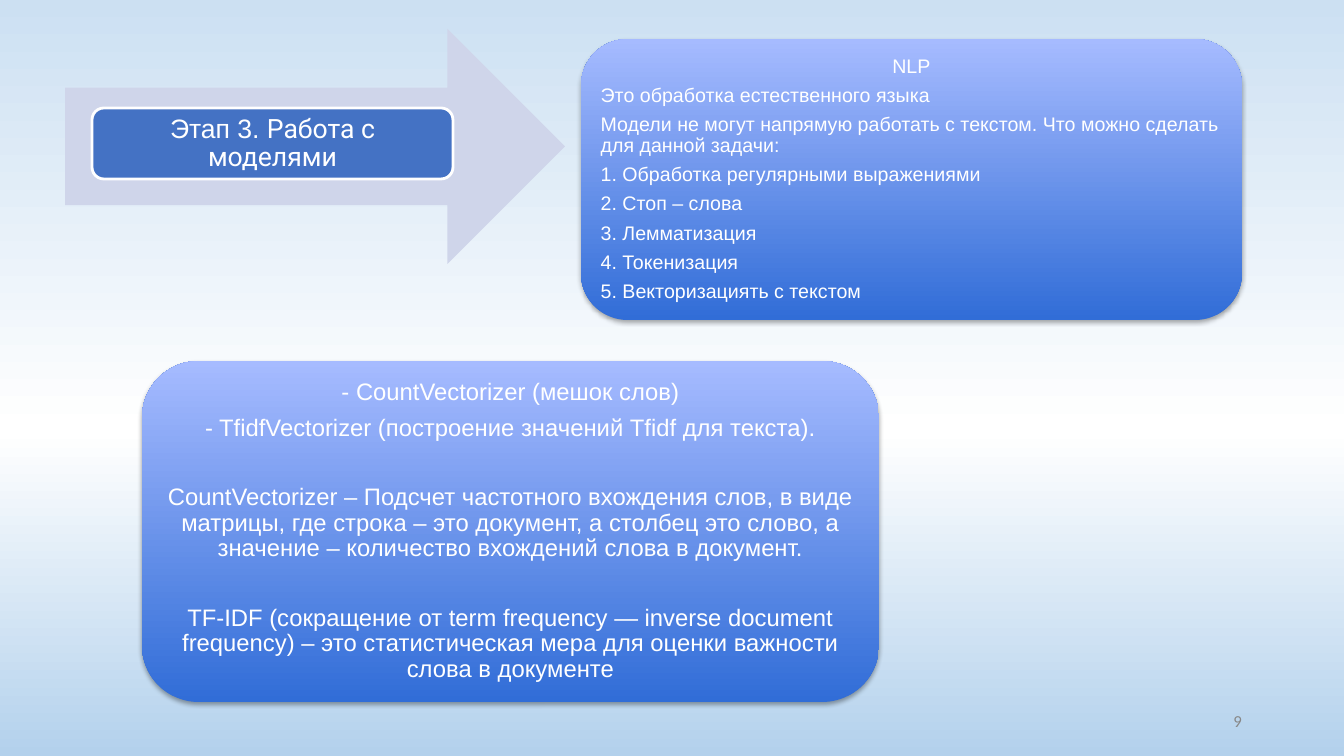
from copy import deepcopy
from dataclasses import dataclass

from lxml import etree
from pptx import Presentation, util as u
from pptx.dml.color import RGBColor
from pptx.enum import shapes, text
from pptx.oxml.ns import qn

SCALE = 12192000 / 1344  # EMU per px


@dataclass(frozen=True)
class Theme:
    sky: tuple = ((0, "CCE0F2"), (0.57, "FFFFFF"), (1, "B3D1EC"))
    card: tuple = ((0, "316DD7"), (1, "A6BBFF"))
    arrow: str = "CFD5EA"
    label: str = "4472C4"
    light: str = "FFFFFF"
    shadow: str = "000000"
    muted: str = "888888"
    body_font: str = "Arial"
    title_font: str = "Roboto"
    number_font: str = "Calibri"
    title_size: int = 19
    nlp_size: int = 14
    vector_size: int = 17
    number_size: int = 12


def px(value):
    return u.Emu(round(value * SCALE))


class SlideBuilder:
    def __init__(self, slide, theme):
        self.slide = slide
        self.theme = theme

    def gradient(self, fill, owner, stops, angle):
        fill.gradient()
        fill.gradient_angle = angle
        stop_list = owner.find(".//" + qn("a:gsLst"))
        for _ in stops[2:]:
            stop_list.append(deepcopy(stop_list[-1]))
        for stop, (position, color) in zip(fill.gradient_stops, stops):
            stop.position = position
            stop.color.rgb = RGBColor.from_string(color)

    def background(self):
        self.gradient(self.slide.background.fill, self.slide.element, self.theme.sky, 270)

    def shape(self, kind, box, fill=None, line=None):
        shape = self.slide.shapes.add_shape(kind, *map(px, box))
        shape.shadow.inherit = False
        if fill:
            shape.fill.solid()
            shape.fill.fore_color.rgb = RGBColor.from_string(fill)
        if line:
            shape.line.color.rgb = RGBColor.from_string(line)
            shape.line.width = u.Pt(2)
        else:
            shape.line.fill.background()
        return shape

    def frame(self, shape, side, top):
        frame = shape.text_frame
        frame.word_wrap = True
        frame.auto_size = text.MSO_AUTO_SIZE.NONE
        frame.vertical_anchor = text.MSO_ANCHOR.MIDDLE
        frame.margin_left = frame.margin_right = px(side)
        frame.margin_top = frame.margin_bottom = px(top)
        return frame

    def style(self, paragraph, size, color, font=None, align=text.PP_ALIGN.CENTER):
        paragraph.alignment = align
        paragraph.font.size = u.Pt(size)
        paragraph.font.color.rgb = RGBColor.from_string(color)
        if font:
            paragraph.font.name = font

    def title(self, box, parts):
        title = self.slide.shapes.title
        title.left, title.top, title.width, title.height = map(px, box)
        paragraph = self.frame(title, 8, 8).paragraphs[0]
        self.style(paragraph, self.theme.title_size, self.theme.light)
        paragraph.line_spacing = 0.9
        for wording, font in parts:
            run = paragraph.add_run()
            run.text = wording
            run.font.name = font
        # Bring the title in front of its label
        self.slide.shapes.element.append(title.element)

    def card(self, box, size, inset, lines):
        """Each line is (wording, alignment, starts a new section)."""
        card = self.shape(shapes.MSO_SHAPE.ROUNDED_RECTANGLE, box)
        self.gradient(card.fill, card.element, self.theme.card, 90)
        self.drop_shadow(card)
        frame = self.frame(card, inset, inset)
        for index, (wording, align, new_section) in enumerate(lines):
            paragraph = frame.add_paragraph() if index else frame.paragraphs[0]
            paragraph.text = wording
            self.style(paragraph, size, self.theme.light, self.theme.body_font, align)
            paragraph.line_spacing = 0.9
            paragraph.space_after = u.Pt(0.4 * size)
            if new_section:
                paragraph.space_before = u.Pt(1.43 * size)

    def drop_shadow(self, shape):
        effects = shape.element.find(".//" + qn("a:effectLst"))
        shadow = etree.SubElement(effects, qn("a:outerShdw"), blurRad="40000",
                                  dist="23000", dir="5400000", rotWithShape="0")
        color = etree.SubElement(shadow, qn("a:srgbClr"), val=self.theme.shadow)
        etree.SubElement(color, qn("a:alpha"), val="35000")

    def page_number(self, box, number):
        page = self.slide.shapes.add_textbox(*map(px, box))
        paragraph = self.frame(page, 10, 5).paragraphs[0]
        paragraph.text = number
        self.style(paragraph, self.theme.number_size, self.theme.muted,
                   self.theme.number_font, text.PP_ALIGN.RIGHT)


def main():
    deck = Presentation()
    deck.slide_width, deck.slide_height = px(1344), px(756)
    theme = Theme()
    builder = SlideBuilder(deck.slides.add_slide(deck.slide_layouts[5]), theme)
    center, left = text.PP_ALIGN.CENTER, text.PP_ALIGN.LEFT
    builder.background()

    # Stage arrow with its title
    builder.shape(shapes.MSO_SHAPE.RIGHT_ARROW, (65, 29, 500, 235), theme.arrow)
    builder.shape(shapes.MSO_SHAPE.ROUNDED_RECTANGLE, (92, 108, 361, 71),
                  theme.label, theme.light)
    builder.title((96, 112, 353, 64), [("Этап 3. ", theme.body_font),
                                       ("Работа с моделями", theme.title_font)])

    # NLP card
    nlp_lines = [
        "Это обработка естественного языка",
        "Модели не могут напрямую работать с текстом. Что можно сделать для данной задачи:",
        "1. Обработка регулярными выражениями",
        "2. Стоп – слова",
        "3. Лемматизация",
        "4. Токенизация",
        "5. Векторизациять с текстом",
    ]
    builder.card((581, 39, 661, 281), theme.nlp_size, 6,
                 [("NLP", center, False)] + [(line, left, False) for line in nlp_lines])

    # Vectorizer card
    builder.card((142, 361, 737, 341), theme.vector_size, 7, [
        ("- CountVectorizer (мешок слов)", center, False),
        ("- TfidfVectorizer (построение значений Tfidf для текста).", center, False),
        ("CountVectorizer – Подсчет частотного вхождения слов, в виде матрицы, "
         "где строка – это документ, а столбец это слово, а значение – "
         "количество вхождений слова в документ.", center, True),
        ("TF-IDF (сокращение от term frequency — inverse document frequency) – "
         "это статистическая мера для оценки важности слова в документе", center, True),
    ])

    # Page number
    builder.page_number((950, 701, 302, 40), "9")
    deck.save("out.pptx")


if __name__ == "__main__":
    main()
